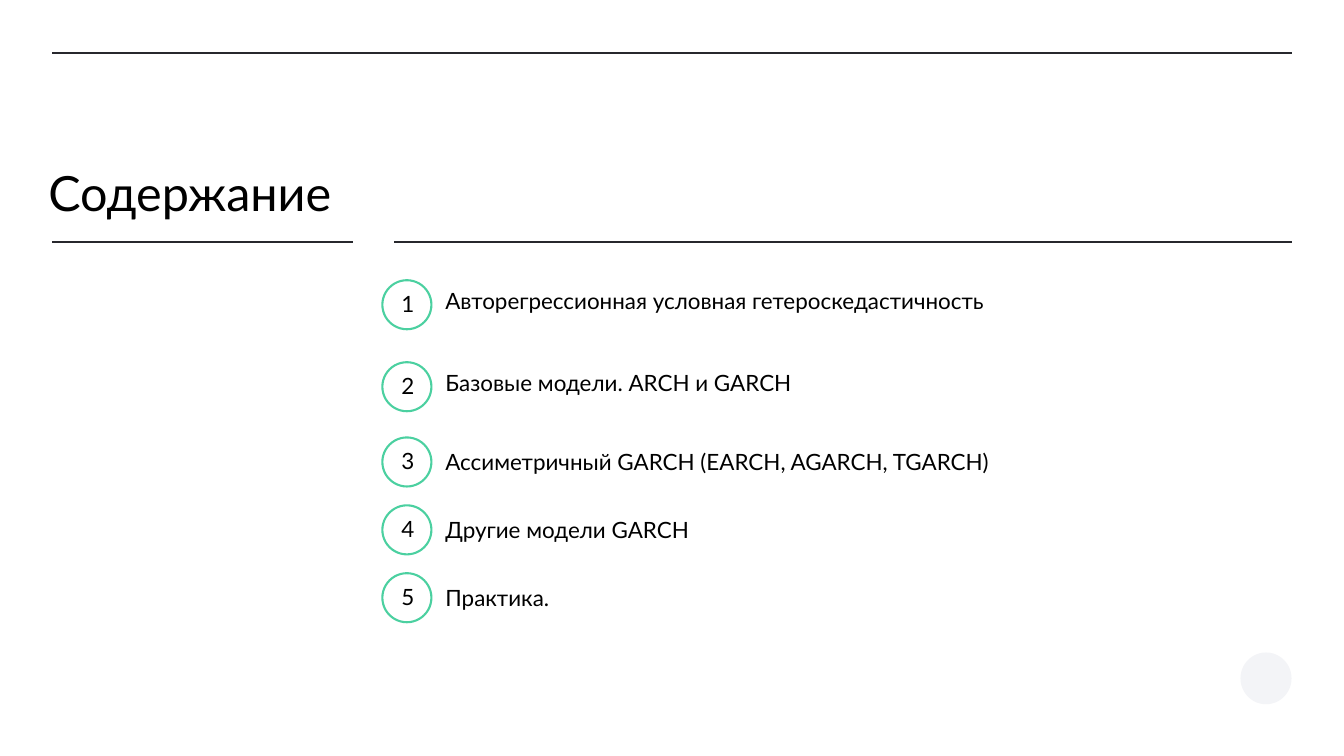
import lxml.etree
import pptx
import pptx.dml.color
import pptx.enum.shapes
import pptx.enum.text
import pptx.oxml.ns
import pptx.util

COLUMNS, ROWS = 200, 112.5
SLIDE_WIDTH, SLIDE_HEIGHT = pptx.util.Inches(20), pptx.util.Inches(11.25)
FONT = "Lato"
INK, RULE, GREEN, PALE = "000000", "27282D", "4BD0A0", "F3F4F7"
LEFT, CENTER = pptx.enum.text.PP_ALIGN.LEFT, pptx.enum.text.PP_ALIGN.CENTER

CIRCLE = 7.3
ENTRIES = [
    ("Авторегрессионная условная гетероскедастичность", 0, 0),
    ("Базовые модели. ARCH и GARCH", 12.2, 0),
    ("Ассиметричный GARCH (EARCH, AGARCH, TGARCH)", 23.4, 0.6),
    ("Другие модели GARCH", 33.5, 0.6),
    ("Практика.", 43.6, 0.6),
]


def color(value):
    return pptx.dml.color.RGBColor.from_string(value)


def across(columns):
    return round(SLIDE_WIDTH * columns / COLUMNS)


def down(rows):
    return round(SLIDE_HEIGHT * rows / ROWS)


def place(box):
    left, top, width, height = box
    return across(left), down(top), across(width), down(height)


def add_text(slide, box, text, size=24, align=LEFT, line_spacing=None):
    shape = slide.shapes.add_textbox(*place(box))
    frame = shape.text_frame
    frame.word_wrap = True
    frame.margin_left = frame.margin_right = pptx.util.Inches(0.1)
    frame.margin_top = frame.margin_bottom = pptx.util.Inches(0.1)
    paragraph = frame.paragraphs[0]
    paragraph.alignment = align
    if line_spacing:
        paragraph.line_spacing = line_spacing
    run = paragraph.add_run()
    run.text = text
    run.font.name = FONT
    run.font.size = pptx.util.Pt(size)
    run.font.color.rgb = color(INK)


def add_rule(slide, left, right, top):
    connector = slide.shapes.add_connector(
        pptx.enum.shapes.MSO_CONNECTOR.STRAIGHT,
        across(left), down(top), across(right), down(top))
    connector.line.color.rgb = color(RULE)
    connector.line.width = pptx.util.Pt(1.5)
    properties = connector._element.spPr
    lxml.etree.SubElement(properties, pptx.oxml.ns.qn("a:effectLst"))


def add_circle(slide, box, fill=None, line=None):
    shape = slide.shapes.add_shape(
        pptx.enum.shapes.MSO_SHAPE.OVAL, *place(box))
    shape.shadow.inherit = False
    if fill:
        shape.fill.solid()
        shape.fill.fore_color.rgb = color(fill)
    else:
        shape.fill.background()
    if line:
        shape.line.color.rgb = color(line)
        shape.line.width = pptx.util.Pt(2.25)
    else:
        shape.line.fill.background()


def draw_header(slide, box):
    left, top, width, height = box
    right, bottom = left + width, top + height
    add_rule(slide, left, right, top)
    add_text(slide, (left - 1.6, bottom - 11, 50.6, 9.4), "Содержание",
             size=52, line_spacing=0.8)
    add_rule(slide, left, left + 44.7, bottom)
    add_rule(slide, left + 50.9, right, bottom)


def draw_entry(slide, box, number, text, drop):
    left, top, width, height = box
    add_circle(slide, (left, top, CIRCLE, CIRCLE), line=GREEN)
    add_text(slide, (left + 1, top + 0.5, 5.6, 5.7), str(number), align=CENTER)
    add_text(slide, (left + 8.4, top + drop, width - 8.4, height), text)


def draw_contents(slide, box):
    left, top, width, _ = box
    for number, (text, offset, drop) in enumerate(ENTRIES, 1):
        draw_entry(slide, (left, top + offset, width, CIRCLE),
                   number, text, drop)


def main():
    presentation = pptx.Presentation()
    presentation.slide_width = SLIDE_WIDTH
    presentation.slide_height = SLIDE_HEIGHT
    slide = presentation.slides.add_slide(presentation.slide_layouts[6])
    add_circle(slide, (184.6, 97.1, 7.6, 7.7), fill=PALE)
    draw_header(slide, (7.8, 7.9, 184.4, 28.1))
    draw_contents(slide, (56.9, 41.7, 97, 50.9))
    presentation.save("out.pptx")


if __name__ == "__main__":
    main()
